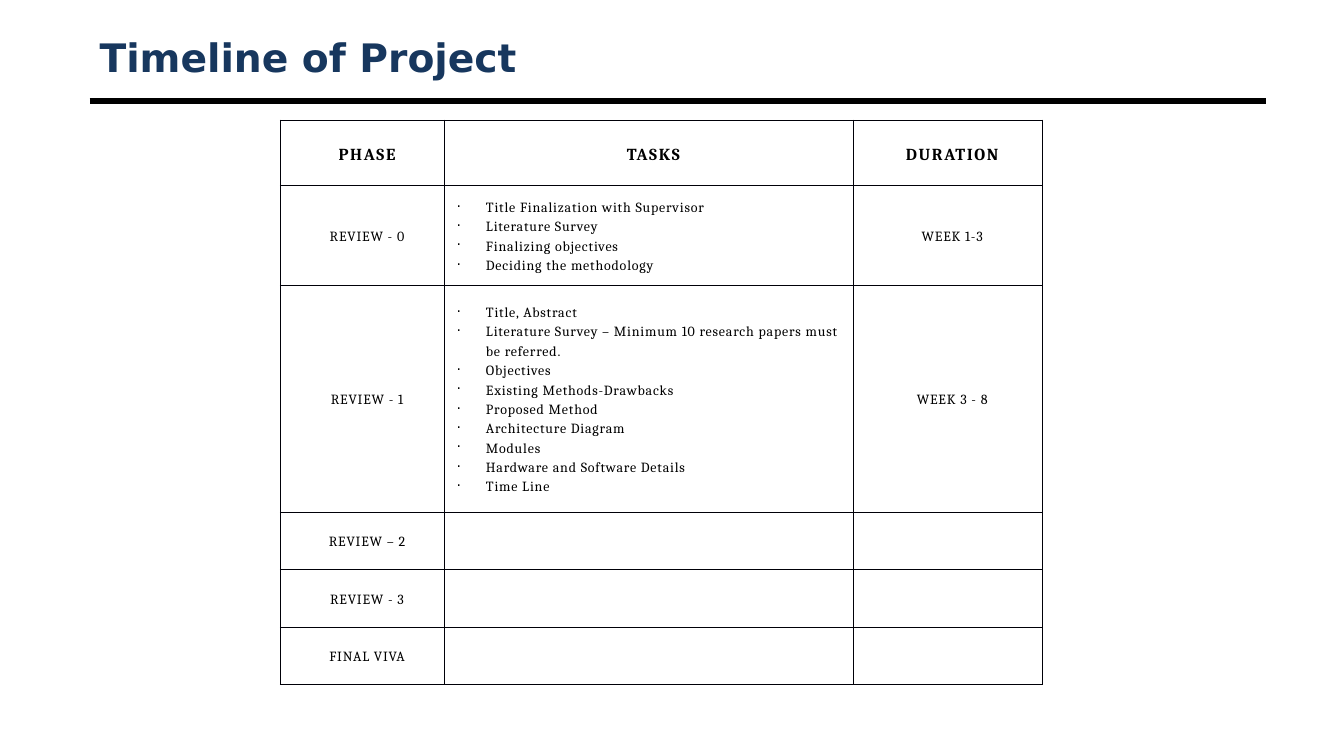
from dataclasses import dataclass

from lxml.etree import SubElement
from pptx import Presentation
from pptx.dml.color import RGBColor as RGB
from pptx.enum.shapes import MSO_CONNECTOR as CONN
from pptx.enum.text import MSO_ANCHOR as ANCHOR, PP_ALIGN as ALIGN
from pptx.oxml import parse_xml
from pptx.oxml.ns import nsdecls, qn
from pptx.util import Inches, Pt


@dataclass(frozen=True)
class Theme:
    title_font: str = "DejaVu Sans"
    body_font: str = "Cambria"
    navy: str = "17375E"
    black: str = "000000"
    border: str = "000008"
    title_size: float = 28
    header_size: float = 12
    body_size: float = 10
    rule_width: float = 4.5
    border_width: float = 0.5
    line_spacing: float = 1.2
    indent: float = 0.09
    hanging: float = 0.29


THEME = Theme()
WIDTH, HEIGHT = 13.33, 7.5
TITLE_BOX = (0.89, 0.3, 11.67, 0.7)
TABLE_BOX = (2.78, 1.19, 7.56, 5.6)
COLUMNS = [1.63, 4.05, 1.88]
ROWS = [0.65, 0.99, 2.25, 0.57, 0.57, 0.57]

HEADERS = ["PHASE", "TASKS", "DURATION"]
PHASES = [
    ("REVIEW - 0",
     ["Title Finalization with Supervisor", "Literature Survey",
      "Finalizing objectives", "Deciding the methodology"],
     "WEEK 1-3"),
    ("REVIEW - 1",
     ["Title, Abstract",
      "Literature Survey – Minimum 10 research papers must be referred.",
      "Objectives", "Existing Methods-Drawbacks", "Proposed Method",
      "Architecture Diagram", "Modules", "Hardware and Software Details",
      "Time Line"],
     "WEEK 3 - 8"),
    ("REVIEW – 2", [], ""),
    ("REVIEW - 3", [], ""),
    ("FINAL VIVA", [], ""),
]


def style_font(font, name, size, color, bold=False):
    font.name, font.size, font.bold = name, Pt(size), bold
    font.color.rgb = RGB.from_string(color)


def add_title(s, box, text):
    """Place the heading in the box, with a rule along the box's bottom edge."""
    left, top, width, height = box
    rule = s.shapes.add_connector(
        CONN.STRAIGHT, Inches(left), Inches(top + height),
        Inches(left + width), Inches(top + height))
    rule.line.color.rgb = RGB.from_string(THEME.black)
    rule.line.width = Pt(THEME.rule_width)
    SubElement(rule._element.spPr, qn("a:effectLst"))

    sp = s.shapes.add_textbox(Inches(left), Inches(top), Inches(width),
                              Inches(height * 0.75))
    tf = sp.text_frame
    tf.word_wrap = True
    tf.vertical_anchor = ANCHOR.MIDDLE
    tf.text = text
    style_font(tf.paragraphs[0].runs[0].font, THEME.title_font,
               THEME.title_size, THEME.navy, bold=True)


def set_borders(cell):
    tc_pr = cell._tc.get_or_add_tcPr()
    for i, side in enumerate("LRTB"):
        tc_pr.insert(i, parse_xml(
            f'<a:ln{side} {nsdecls("a")} w="{Pt(THEME.border_width)}">'
            f'<a:solidFill><a:srgbClr val="{THEME.border}"/></a:solidFill>'
            f'</a:ln{side}>'))


def format_paragraph(p, size, bold, bulleted):
    p.line_spacing = THEME.line_spacing
    p_pr = p._p.get_or_add_pPr()
    if bulleted:
        p_pr.set("marL", str(Inches(THEME.hanging)))
        p_pr.set("indent", str(-Inches(THEME.hanging)))
        SubElement(p_pr, qn("a:buChar"), char="·")
    else:
        p.alignment = ALIGN.CENTER
        p_pr.set("marL", str(Inches(THEME.indent)))
        p_pr.set("indent", "0")
    for r in p.runs:
        style_font(r.font, THEME.body_font, size, THEME.black, bold)
        r.font._element.set("spc", "120" if bold else "60")


def fill_cell(cell, content, header):
    """Write a centred string, or a list of strings as bullets."""
    cell.fill.background()
    set_borders(cell)
    cell.vertical_anchor = ANCHOR.MIDDLE
    cell.margin_left = cell.margin_right = Inches(0.12)
    cell.margin_top = cell.margin_bottom = Inches(0.07)
    bulleted = isinstance(content, list)
    if not content:
        return
    cell.text_frame.text = "\n".join(content) if bulleted else content
    size = THEME.header_size if header else THEME.body_size
    for p in cell.text_frame.paragraphs:
        format_paragraph(p, size, header, bulleted)


def add_timeline(s, box, rows):
    """Share the box between COLUMNS and ROWS in proportion."""
    left, top, width, height = box
    table = s.shapes.add_table(
        len(rows), len(COLUMNS), Inches(left), Inches(top),
        Inches(width), Inches(height)).table
    table.first_row = table.horz_banding = False
    for column, share in zip(table.columns, COLUMNS):
        column.width = Inches(width * share / sum(COLUMNS))
    for row, share in zip(table.rows, ROWS):
        row.height = Inches(height * share / sum(ROWS))
    for i, contents in enumerate(rows):
        for j, content in enumerate(contents):
            fill_cell(table.cell(i, j), content, header=i == 0)


def main():
    prs = Presentation()
    prs.slide_width, prs.slide_height = Inches(WIDTH), Inches(HEIGHT)
    s = prs.slides.add_slide(prs.slide_layouts[6])
    add_title(s, TITLE_BOX, "Timeline of Project")
    add_timeline(s, TABLE_BOX, [HEADERS, *PHASES])
    prs.save("out.pptx")


if __name__ == "__main__":
    main()
